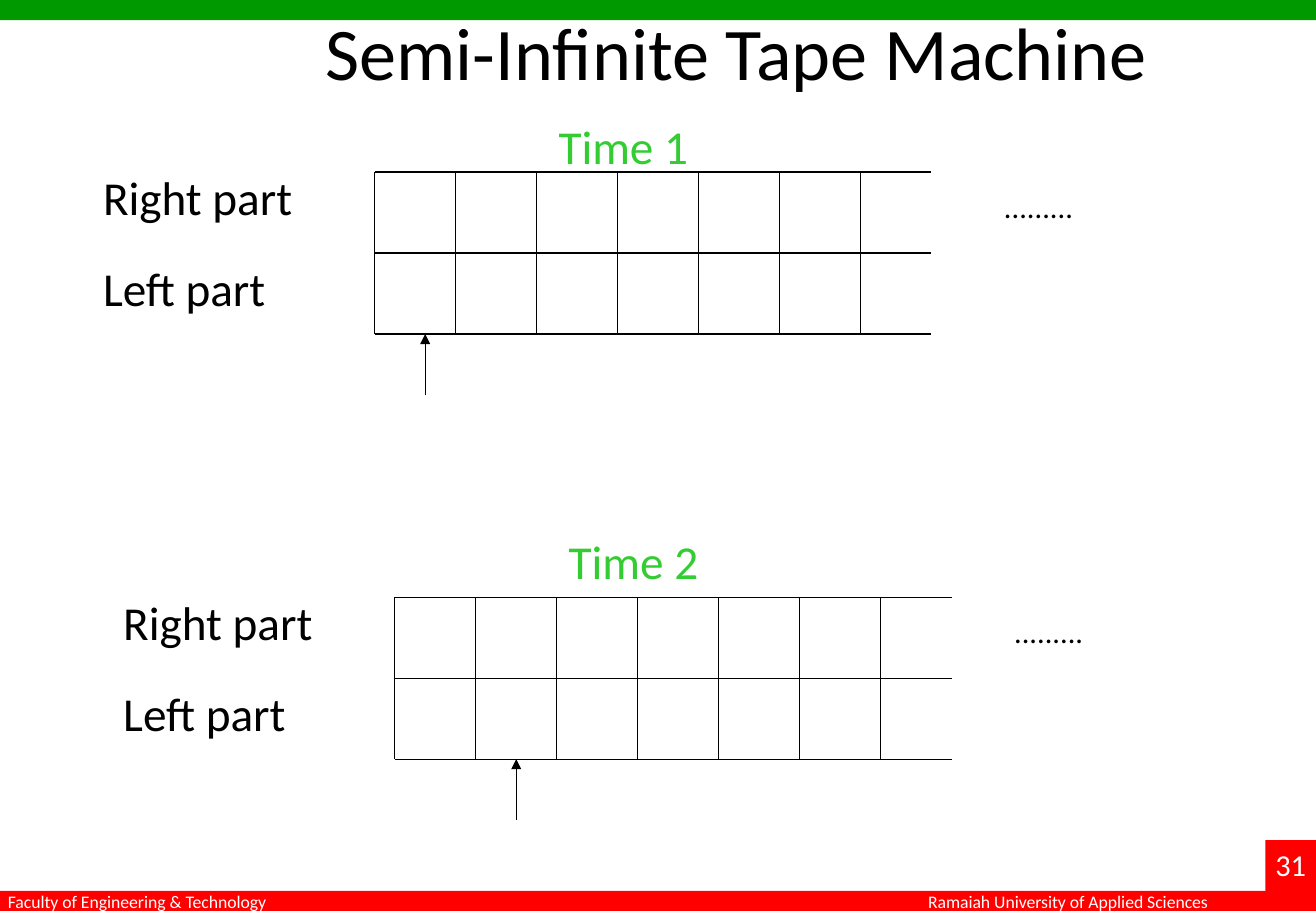
from pptx import Presentation
from pptx.dml.color import RGBColor
from pptx.enum.shapes import MSO_CONNECTOR, MSO_SHAPE
from pptx.enum.text import MSO_AUTO_SIZE
from pptx.oxml.ns import qn
from pptx.util import Inches, Pt
from lxml.etree import SubElement

BLACK = RGBColor(0x00, 0x00, 0x00)
WHITE = RGBColor(0xFF, 0xFF, 0xFF)
RED = RGBColor(0xFF, 0x00, 0x00)
GREEN = RGBColor(0x00, 0x99, 0x00)
LIME = RGBColor(0x33, 0xCC, 0x33)

FONT = "Calibri"
GRID = Inches(1) / 12
COLUMNS, ROWS = 130, 90
CELL, TRACKS, DIVIDERS, TAPE_LENGTH = 8, 2, 7, 55
HEAD_LENGTH = 6

TITLE = "Semi-Infinite Tape Machine"
FACULTY = "Faculty of Engineering & Technology"
UNIVERSITY = "Ramaiah University of Applied Sciences"
PAGE = "31"
CONTINUATION = "........."
TRACK_LABELS = [("Right part", 21.4), ("Left part", 18.7)]
TAPES = [
    {"time": "Time 1", "time_at": (54, 11), "origin": (37, 17),
     "head_column": 42, "dots_column": 98},
    {"time": "Time 2", "time_at": (55, 52), "origin": (39, 59),
     "head_column": 51, "dots_column": 99},
]


def grid(*lengths):
    return [round(length * GRID) for length in lengths]


def add_bar(left, top, width, height, color):
    bar = slide.shapes.add_shape(MSO_SHAPE.RECTANGLE, *grid(left, top, width, height))
    bar.shadow.inherit = False
    bar.fill.solid()
    bar.fill.fore_color.rgb = color
    bar.line.fill.background()


def add_label(text, left, top, width, height, size, color=BLACK):
    frame = slide.shapes.add_textbox(*grid(left, top, width, height)).text_frame
    frame.word_wrap = False
    frame.auto_size = MSO_AUTO_SIZE.SHAPE_TO_FIT_TEXT
    frame.text = text
    font = frame.paragraphs[0].runs[0].font
    font.name = FONT
    font.size = Pt(size)
    font.color.rgb = color


def add_line(x1, y1, x2, y2, arrow=False):
    line = slide.shapes.add_connector(MSO_CONNECTOR.STRAIGHT, *grid(x1, y1, x2, y2))
    line.line.color.rgb = BLACK
    line.line.width = Pt(0.75)
    if arrow:
        SubElement(line.line._get_or_add_ln(), qn("a:tailEnd"), type="triangle")
    SubElement(line._element.spPr, qn("a:effectLst"))


def add_tape(time, time_at, origin, head_column, dots_column):
    left, top = origin
    bottom = top + TRACKS * CELL
    for track in range(TRACKS + 1):
        y = top + track * CELL
        add_line(left, y, left + TAPE_LENGTH, y)
    for divider in range(DIVIDERS):
        x = left + divider * CELL
        add_line(x, top, x, bottom)
    add_line(head_column, bottom + HEAD_LENGTH, head_column, bottom, arrow=True)
    for track, (label, width) in enumerate(TRACK_LABELS):
        add_label(label, left - 28, top - 1 + 9 * track, width, 6.8, 28)
    add_label(CONTINUATION, dots_column, top + 1, 9.2, 4.8, 18)
    add_label(time, *time_at, 15.4, 6.8, 28, LIME)


presentation = Presentation()
presentation.slide_width, presentation.slide_height = grid(COLUMNS, ROWS)
slide = presentation.slides.add_slide(presentation.slide_layouts[6])

add_bar(0, ROWS - 2, COLUMNS, 2, RED)
add_label(UNIVERSITY, 90.5, 87.4, 30.6, 3.4, 10.5, WHITE)
add_label(FACULTY, -0.4, 87.4, 28.6, 3.4, 10.5, WHITE)
add_bar(0, 0, COLUMNS, 2, GREEN)
add_bar(COLUMNS - 5, ROWS - 7, 5, 7, RED)
add_label(PAGE, 124.8, ROWS - 7, 6, 4.8, 18, WHITE)
add_label(TITLE, 31, 0, 83.9, 10.1, 44)
for tape in TAPES:
    add_tape(**tape)

presentation.save("out.pptx")
